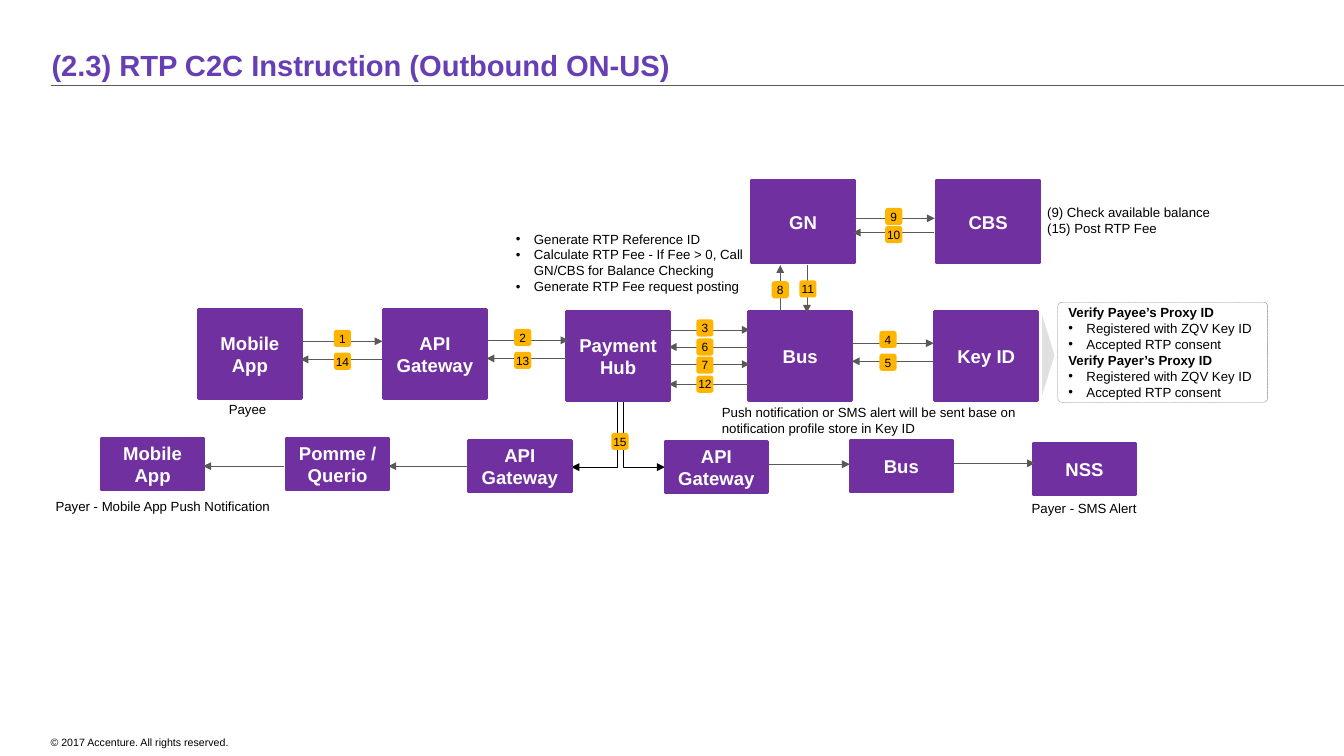
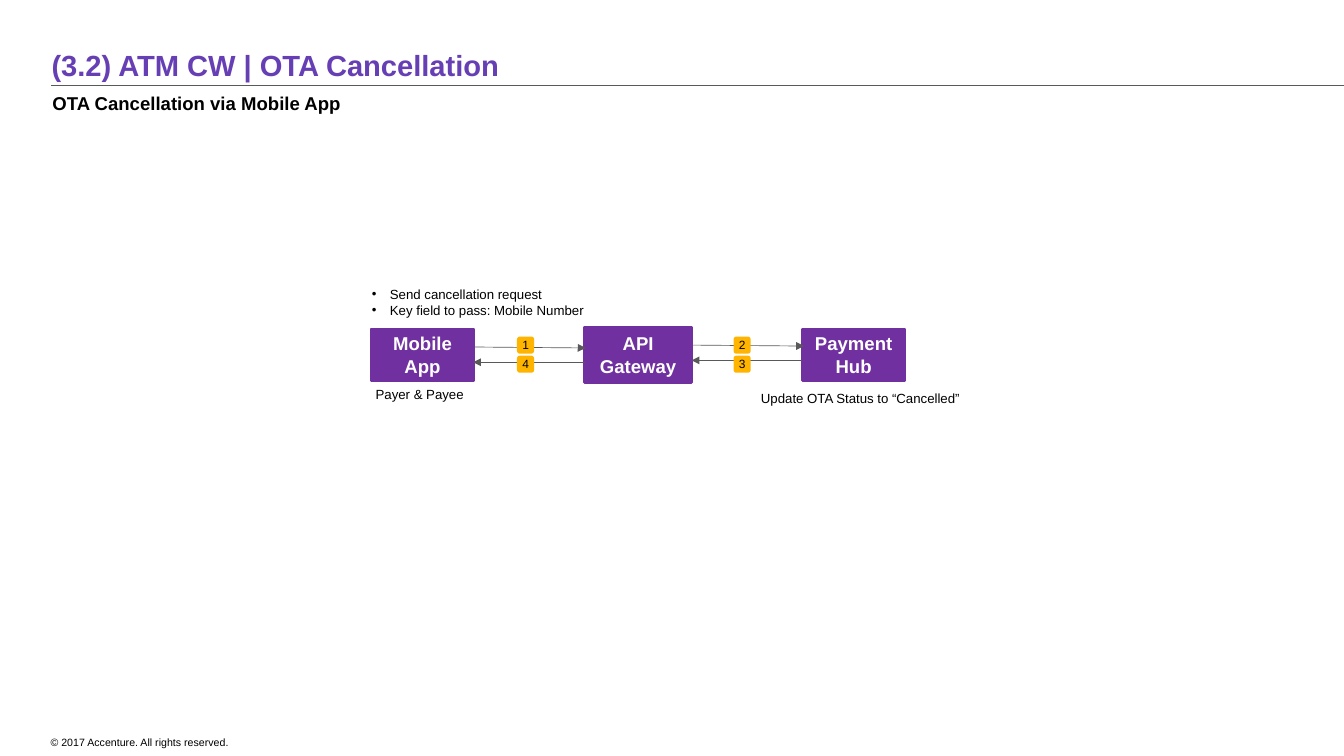
from dataclasses import dataclass

import pptx
import pptx.dml.color
import pptx.enum.dml
import pptx.enum.shapes
import pptx.enum.text
import pptx.oxml
import pptx.oxml.ns
import pptx.util

Inches = pptx.util.Inches
Pt = pptx.util.Pt
SHAPE = pptx.enum.shapes.MSO_SHAPE
CONNECTOR = pptx.enum.shapes.MSO_CONNECTOR
ANCHOR = pptx.enum.text.MSO_ANCHOR
ALIGN = pptx.enum.text.PP_ALIGN


@dataclass(frozen=True)
class Theme:
    font: str = "Arial"
    title: str = "673FB4"
    box: str = "7030A0"
    badge: str = "FFB500"
    pointer: str = "E0E0E0"
    line: str = "595959"
    frame: str = "808080"
    text: str = "000000"
    inverse: str = "FFFFFF"
    title_size: int = 22
    box_size: int = 14
    note_size: int = 10
    badge_size: int = 9
    footer_size: int = 8


THEME = Theme()
BOX_W = 1.08
TALL, SHORT, TOP_ROW = 0.93, 0.54, 0.87
BADGE = 0.18
BULLET_INDENT = 0.19


def rgb(value):
    return pptx.dml.color.RGBColor.from_string(value)


def add_xml(parent, tag, **attributes):
    child = pptx.oxml.parse_xml(f"<a:{tag} {pptx.oxml.ns.nsdecls('a')}/>")
    for name, value in attributes.items():
        child.set(name, value)
    parent.append(child)


def add_bullet(p):
    pPr = p._p.get_or_add_pPr()
    indent = Inches(BULLET_INDENT)
    pPr.set("marL", str(indent))
    pPr.set("indent", str(-indent))
    add_xml(pPr, "buFont", typeface=THEME.font)
    add_xml(pPr, "buChar", char="•")


def write(sp, lines, size, color=THEME.text, bold=False, align=ALIGN.LEFT,
          anchor=ANCHOR.MIDDLE, insets=(0.1, 0.05, 0.1, 0.05), wrap=True):
    """Fill a shape with lines; "• " starts a bullet and "# " a bold heading."""
    tf = sp.text_frame
    tf.word_wrap = wrap
    tf.vertical_anchor = anchor
    tf.margin_left, tf.margin_top, tf.margin_right, tf.margin_bottom = map(Inches, insets)
    for i, line in enumerate(lines):
        p = tf.paragraphs[0] if i == 0 else tf.add_paragraph()
        p.alignment = align
        if line.startswith("• "):
            add_bullet(p)
        p.add_run().text = line.removeprefix("• ").removeprefix("# ")
        p.font.name = THEME.font
        p.font.size = Pt(size)
        p.font.bold = bold or line.startswith("# ")
        p.font.color.rgb = rgb(color)


def add_text(slide, at, lines, size=THEME.note_size, **style):
    sp = slide.shapes.add_textbox(*map(Inches, at))
    write(sp, lines, size, **style)


def add_shape(slide, kind, at, fill=None, line=None, width=0):
    sp = slide.shapes.add_shape(kind, *map(Inches, at))
    sp.shadow.inherit = False
    if fill:
        sp.fill.solid()
        sp.fill.fore_color.rgb = rgb(fill)
    else:
        sp.fill.background()
    if line:
        sp.line.color.rgb = rgb(line)
        sp.line.width = Pt(width)
    else:
        sp.line.fill.background()
    return sp


def add_box(slide, label, left, top, height, width=BOX_W):
    sp = add_shape(slide, SHAPE.RECTANGLE, (left, top, width, height), THEME.box, THEME.box, 2)
    write(sp, [label], THEME.box_size, THEME.inverse, bold=True, align=ALIGN.CENTER)


def add_badge(slide, number, left, top):
    sp = add_shape(slide, SHAPE.ROUNDED_RECTANGLE, (left, top, BADGE, BADGE), THEME.badge)
    write(sp, [str(number)], THEME.badge_size, align=ALIGN.CENTER, insets=(0, 0, 0, 0), wrap=False)


def add_line(slide, start, end, kind=CONNECTOR.STRAIGHT, color=THEME.line, width=0.5, arrow=True):
    cxn = slide.shapes.add_connector(kind, *map(Inches, (*start, *end)))
    cxn.line.color.rgb = rgb(color)
    cxn.line.width = Pt(width)
    if arrow:
        add_xml(cxn.line._get_or_add_ln(), "tailEnd", type="triangle")
    add_xml(cxn._element.spPr, "effectLst")
    return cxn


def add_elbow(slide, start, end):
    """Arrow that runs down from start, then sideways to end."""
    (x1, y1), (x2, y2) = start, end
    mid_x, mid_y = (x1 + x2) / 2, (y1 + y2) / 2
    half_w, half_h = (y2 - y1) / 2, abs(x2 - x1) / 2
    side = -1 if x2 > x1 else 1
    cxn = add_line(slide, (mid_x - side * half_w, mid_y - half_h),
                   (mid_x + side * half_w, mid_y + half_h), CONNECTOR.ELBOW, THEME.text)
    spPr = cxn._element.spPr
    spPr.find(pptx.oxml.ns.qn("a:prstGeom")).set("prst", "bentConnector2")
    turn = 90 if side == 1 else 270
    spPr.find(pptx.oxml.ns.qn("a:xfrm")).set("rot", str(turn * 60000))


def add_steps(slide, steps):
    for number, start, end, badge in steps:
        add_line(slide, start, end)
        add_badge(slide, number, *badge)


def new_slide(prs, title):
    slide = prs.slides.add_slide(prs.slide_layouts[6])
    add_text(slide, (0.53, 7.68, 4.28, 0.2), ["© 2017 Accenture. All rights reserved."],
             THEME.footer_size, anchor=ANCHOR.TOP, insets=(0, 0.04, 0, 0))
    add_line(slide, (0.54, 0.9), (14.09, 0.9), width=1, arrow=False)
    add_text(slide, (0.54, 0.2, 12.99, 0.66), [title], THEME.title_size, color=THEME.title,
             bold=True, anchor=ANCHOR.BOTTOM, insets=(0, 0.07, 0, 0))
    return slide


def add_proxy_checks(slide):
    sp = add_shape(slide, SHAPE.ROUNDED_RECTANGLE, (11.09, 3.17, 2.2, 1.05),
                   line=THEME.frame, width=0.25)
    sp.adjustments[0] = 0.04
    sp.line.dash_style = pptx.enum.dml.MSO_LINE.SQUARE_DOT
    checks = ["• Registered with ZQV Key ID", "• Accepted RTP consent"]
    write(sp, ["# Verify Payee’s Proxy ID", *checks, "# Verify Payer’s Proxy ID", *checks],
          THEME.note_size)
    pointer = add_shape(slide, SHAPE.ISOSCELES_TRIANGLE, (10.57, 3.66, 0.84, 0.13), THEME.pointer)
    pointer.rotation = 90


def build_instruction(prs):
    slide = new_slide(prs, "(2.3) RTP C2C Instruction (Outbound ON-US)")
    add_elbow(slide, (6.47, 4.04), (5.99, 4.9))
    add_elbow(slide, (6.54, 4.04), (6.97, 4.9))
    for label, left, top, height in [
        ("GN", 7.88, 1.89, TOP_ROW),
        ("CBS", 9.82, 1.89, TOP_ROW),
        ("Mobile App", 2.08, 3.25, TALL),
        ("API Gateway", 4.02, 3.25, TALL),
        ("Payment Hub", 5.94, 3.27, TALL),
        ("Bus", 7.85, 3.27, TALL),
        ("Key ID", 9.8, 3.27, TALL),
        ("Mobile App", 1.06, 4.6, SHORT),
        ("Pomme / Querio", 3, 4.6, SHORT),
        ("API Gateway", 4.91, 4.62, SHORT),
        ("API Gateway", 6.97, 4.63, SHORT),
        ("Bus", 8.91, 4.62, SHORT),
        ("NSS", 10.83, 4.65, SHORT),
    ]:
        add_box(slide, label, left, top, height)
    add_steps(slide, [
        (1, (3.16, 3.58), (4.01, 3.58), (3.5, 3.46)),
        (14, (4, 3.77), (3.15, 3.77), (3.5, 3.7)),
        (2, (5.11, 3.57), (5.96, 3.57), (5.39, 3.45)),
        (13, (5.95, 3.76), (5.1, 3.76), (5.39, 3.69)),
        (3, (7.01, 3.46), (7.86, 3.46), (7.3, 3.35)),
        (6, (7.86, 3.64), (7.01, 3.64), (7.3, 3.55)),
        (7, (7.01, 3.82), (7.86, 3.82), (7.3, 3.74)),
        (12, (7.86, 4.03), (7.01, 4.03), (7.3, 3.94)),
        (8, (8.18, 3.28), (8.18, 2.78), (8.09, 2.95)),
        (11, (8.46, 2.78), (8.46, 3.28), (8.38, 2.94)),
        (4, (8.94, 3.6), (9.79, 3.6), (9.22, 3.47)),
        (5, (9.78, 3.79), (8.93, 3.79), (9.22, 3.71)),
        (9, (8.95, 2.29), (9.8, 2.29), (9.28, 2.18)),
        (10, (9.79, 2.44), (8.94, 2.44), (9.28, 2.37)),
    ])
    add_badge(slide, 15, 6.41, 4.54)
    for start_x, end_x, y in [(2.98, 2.13, 4.89), (4.92, 4.07, 4.89),
                              (8.06, 8.91, 4.87), (10, 10.85, 4.86)]:
        add_line(slide, (start_x, y), (end_x, y))
    add_proxy_checks(slide)
    add_text(slide, (5.31, 2.3, 3.04, 0.91), [
        "• Generate RTP Reference ID",
        "• Calculate RTP Fee - If Fee > 0, Call GN/CBS for Balance Checking",
        "• Generate RTP Fee request posting",
    ])
    add_text(slide, (10.88, 1.85, 2.49, 0.91),
             ["(9) Check available balance", "(15) Post RTP Fee"])
    add_text(slide, (2.3, 3.84, 2.49, 0.91), ["Payee"])
    add_text(slide, (10.57, 4.88, 1.59, 0.91), ["Payer - SMS Alert"], align=ALIGN.CENTER)
    add_text(slide, (0.35, 4.85, 2.71, 0.91), ["Payer - Mobile App Push Notification"],
             align=ALIGN.CENTER)
    add_text(slide, (7.47, 3.94, 3.96, 0.93), [
        "Push notification or SMS alert will be sent base on "
        "notification profile store in Key ID"])


def build_cancellation(prs):
    slide = new_slide(prs, "(3.2) ATM CW | OTA Cancellation")
    add_text(slide, (0.45, 0.92, 13.45, 0.34), ["OTA Cancellation via Mobile App"],
             THEME.box_size, bold=True, anchor=ANCHOR.TOP)
    add_box(slide, "Mobile App", 3.89, 3.45, SHORT)
    add_box(slide, "API Gateway", 6.13, 3.43, 0.58, 1.12)
    add_box(slide, "Payment Hub", 8.41, 3.45, SHORT)
    add_steps(slide, [
        (1, (4.97, 3.64), (6.14, 3.65), (5.42, 3.53)),
        (4, (6.13, 3.8), (4.96, 3.8), (5.42, 3.73)),
        (2, (7.25, 3.62), (8.43, 3.63), (7.69, 3.53)),
        (3, (8.41, 3.78), (7.25, 3.78), (7.69, 3.73)),
    ])
    add_text(slide, (3.8, 2.76, 4.66, 0.82),
             ["• Send cancellation request", "• Key field to pass: Mobile Number"])
    add_text(slide, (3.84, 3.73, 1.26, 0.82), ["Payer & Payee"])
    add_text(slide, (7.88, 3.77, 4.66, 0.82), ["Update OTA Status to “Cancelled”"])


def main():
    prs = pptx.Presentation()
    prs.slide_width, prs.slide_height = Inches(14.09), Inches(7.93)
    build_instruction(prs)
    build_cancellation(prs)
    prs.save("out.pptx")


if __name__ == "__main__":
    main()
